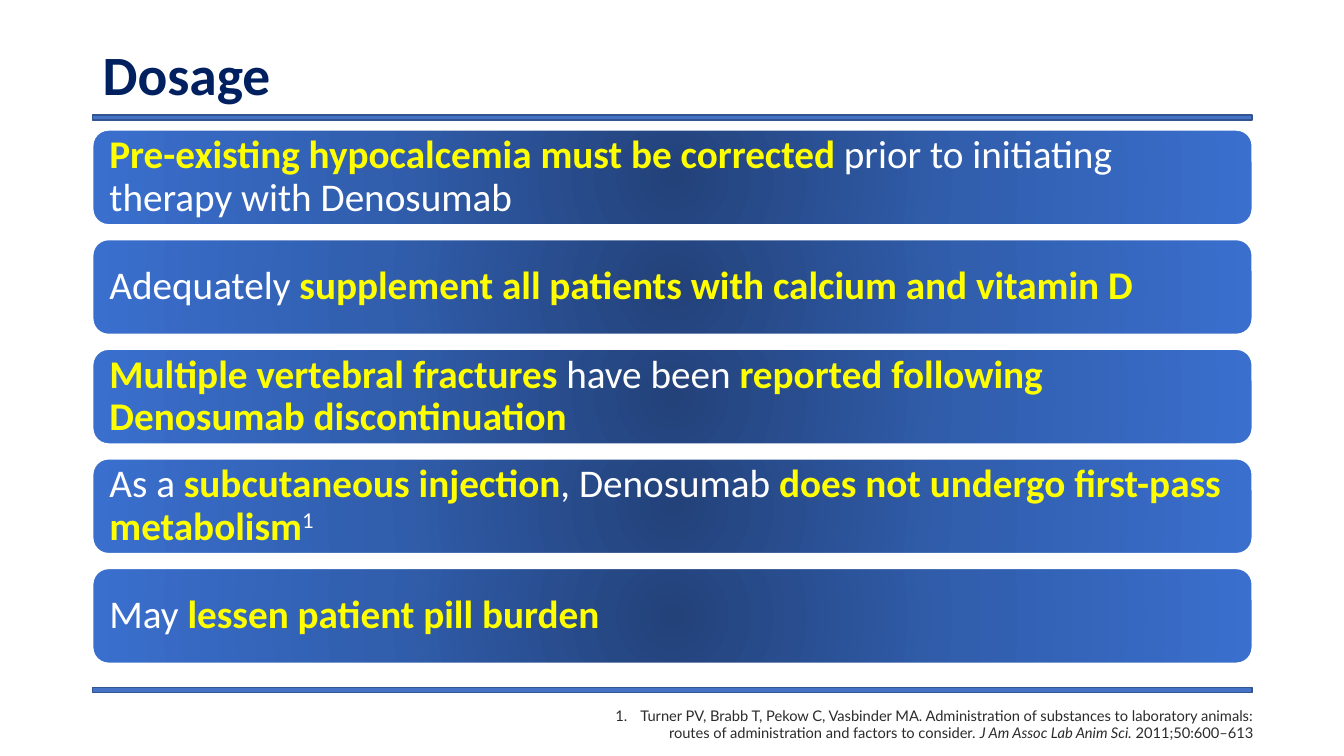
from lxml import etree
from pptx import Presentation
from pptx.dml.color import RGBColor
from pptx.enum.shapes import MSO_SHAPE as SHAPE
from pptx.enum.text import MSO_ANCHOR as ANCHOR, PP_ALIGN as ALIGN
from pptx.oxml import parse_xml
from pptx.oxml.ns import nsdecls, qn
from pptx.util import Inches, Pt

WHITE, YELLOW, NAVY, INK = "FFFFFF", "FFFF00", "002060", "2B2B2B"
LEFT, WIDTH = 0.92, 11.5
STOPS = [(0, "23427A"), (50, "315EAD"), (100, "3A6FCE")]


def rgb(value):
    return RGBColor.from_string(value)


def run(text, **fmt):
    return text, fmt


def plain(text, **fmt):
    return run(text, color=WHITE, **fmt)


def key(text):
    return run(text, color=YELLOW, bold=True)


class Deck:
    font = "Calibri"

    def __init__(self):
        self.prs = Presentation()
        self.prs.slide_width, self.prs.slide_height = Inches(13.33), Inches(7.5)
        self.s = self.prs.slides.add_slide(self.prs.slide_layouts[6])

    def fill_text(self, tf, runs, size, font=None, align=ALIGN.LEFT, spacing=None,
                  anchor=ANCHOR.TOP, inset=(0.1, 0.05), numbered=False):
        tf.word_wrap = True
        tf.vertical_anchor = anchor
        tf.margin_left = tf.margin_right = Inches(inset[0])
        tf.margin_top = tf.margin_bottom = Inches(inset[1])
        p = tf.paragraphs[0]
        p.alignment = align
        if spacing:
            p.line_spacing = spacing
        if numbered:
            pPr = p._p.get_or_add_pPr()
            pPr.set("marL", str(Inches(0.25)))
            pPr.set("indent", str(-Inches(0.25)))
            etree.SubElement(pPr, qn("a:buAutoNum"), type="arabicPeriod")
        for text, fmt in runs:
            r = p.add_run()
            r.text = text
            r.font.name = font or self.font
            r.font.size = Pt(size)
            r.font.color.rgb = rgb(fmt["color"])
            r.font.bold = fmt.get("bold", False)
            r.font.italic = fmt.get("italic", False)
            if fmt.get("superscript"):
                r.font._element.set("baseline", "30000")

    def text(self, x, y, w, h, runs, size, **fmt):
        box = self.s.shapes.add_textbox(Inches(x), Inches(y), Inches(w), Inches(h))
        self.fill_text(box.text_frame, runs, size, **fmt)

    def shape(self, kind, y, h, line):
        sp = self.s.shapes.add_shape(kind, Inches(LEFT), Inches(y), Inches(WIDTH), Inches(h))
        sp.shadow.inherit = False
        sp.line.color.rgb = rgb(line)
        sp.line.width = Pt(1)
        return sp

    def rule(self, y):
        sp = self.shape(SHAPE.RECTANGLE, y, 0.05, "325491")
        sp.fill.solid()
        sp.fill.fore_color.rgb = rgb("4472C4")

    def panel(self, y, runs):
        sp = self.shape(SHAPE.ROUNDED_RECTANGLE, y, 0.94, WHITE)
        sp.fill.gradient()
        grad = sp._element.spPr.find(qn("a:gradFill"))
        stops = "".join(f'<a:gs pos="{pos * 1000}"><a:srgbClr val="{c}"/></a:gs>'
                        for pos, c in STOPS)
        grad.getparent().replace(grad, parse_xml(
            f'<a:gradFill {nsdecls("a")} rotWithShape="1"><a:gsLst>{stops}</a:gsLst>'
            '<a:path path="circle"><a:fillToRect l="50000" t="50000" r="50000" b="50000"/>'
            '</a:path></a:gradFill>'))
        self.fill_text(sp.text_frame, runs, 28, spacing=0.9, anchor=ANCHOR.MIDDLE,
                       inset=(0.12, 0.12))


PANELS = [
    [key("Pre-existing hypocalcemia must be corrected "),
     plain("prior to initiating therapy with Denosumab")],
    [plain("Adequately "), key("supplement all patients with calcium and vitamin D")],
    [key("Multiple vertebral fractures "), plain("have been "),
     key("reported following Denosumab discontinuation")],
    [plain("As a "), key("subcutaneous injection"), plain(", Denosumab "),
     key("does not undergo first-pass metabolism"), plain("1", superscript=True)],
    [plain("May "), key("lessen patient pill burden")],
]
REFERENCE = [
    run("Turner PV, Brabb T, Pekow C, Vasbinder MA. Administration of substances to "
        "laboratory animals: routes of administration and factors to consider. ", color=INK),
    run("J Am Assoc Lab Anim Sci.", color=INK, italic=True),
    run(" 2011;50:600–613", color=INK),
]


def main():
    deck = Deck()
    for y in (1.14, 6.82):
        deck.rule(y)
    deck.text(LEFT, 0.4, WIDTH, 0.74, [run("Dosage", color=NAVY, bold=True)], 39.6,
              spacing=0.9, anchor=ANCHOR.MIDDLE)
    for i, runs in enumerate(PANELS):
        deck.panel(1.29 + i * 4.35 / 4, runs)
    deck.text(5.86, 6.96, 6.67, 0.45, REFERENCE, 10.5, font="Lato",
              align=ALIGN.RIGHT, numbered=True)
    deck.prs.save("out.pptx")


if __name__ == "__main__":
    main()
